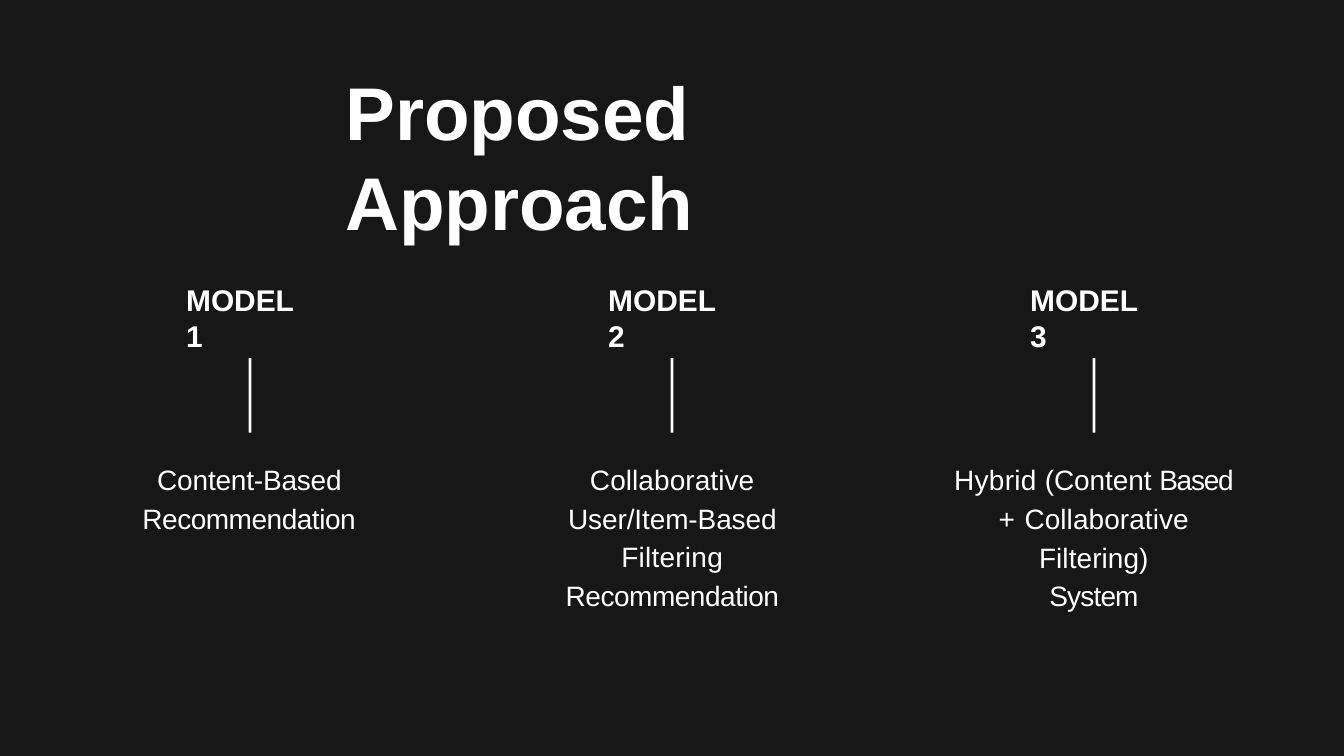
from pptx import Presentation
from pptx.dml.color import RGBColor
from pptx.enum.shapes import MSO_SHAPE as SHAPE
from pptx.enum.text import MSO_ANCHOR as ANCHOR, MSO_AUTO_SIZE as AUTO, PP_ALIGN as ALIGN
from pptx.util import Inches, Pt

BLACK = RGBColor(0x17, 0x17, 0x17)
WHITE = RGBColor(0xFF, 0xFF, 0xFF)
FONT = "Arial"
CENTER_X, PITCH = 10, 6.28


def add_text(p, runs, size, bold=False, align=ALIGN.LEFT, before=1,
             line=1.0, left=0.01, right=0, first=0):
    p.alignment = align
    p.space_before = Pt(before)
    p.line_spacing = line
    pPr = p._p.get_or_add_pPr()
    for name, value in (("marL", left), ("marR", right), ("indent", first)):
        pPr.set(name, str(Inches(value)))
    for text, spacing in runs:
        r = p.add_run()
        r.text = text
        r.font.name, r.font.size, r.font.bold = FONT, Pt(size), bold
        r.font.color.rgb = WHITE
        r._r.get_or_add_rPr().set("spc", str(round(spacing * 100)))


class ModelSlide:
    def __init__(self, prs):
        self.s = prs.slides.add_slide(prs.slide_layouts[5])
        fill = self.s.background.fill
        fill.solid()
        fill.fore_color.rgb = BLACK

    def frame(self, sp, top_inset=0.01):
        tf = sp.text_frame
        tf.word_wrap = True
        tf.auto_size = AUTO.SHAPE_TO_FIT_TEXT
        tf.vertical_anchor = ANCHOR.TOP
        tf.margin_left = tf.margin_right = tf.margin_bottom = 0
        tf.margin_top = Inches(top_inset)
        return tf

    def title(self, text, x, y, w, h):
        sp = self.s.shapes.title
        sp.left, sp.top, sp.width, sp.height = map(Inches, (x, y, w, h))
        add_text(self.frame(sp).paragraphs[0], [(text, 0)], 80, bold=True)

    def box(self, x, y, w, h, paragraphs, top_inset=0.01):
        sp = self.s.shapes.add_textbox(*map(Inches, (x, y, w, h)))
        tf = self.frame(sp, top_inset)
        for i, (runs, style) in enumerate(paragraphs):
            p = tf.add_paragraph() if i else tf.paragraphs[0]
            add_text(p, runs, **style)

    def bar(self, center, y, w, h):
        sp = self.s.shapes.add_shape(
            SHAPE.RECTANGLE, *map(Inches, (center - w / 2, y, w, h)))
        sp.shadow.inherit = False
        sp.fill.solid()
        sp.fill.fore_color.rgb = WHITE
        sp.line.fill.background()

    def model(self, number, width, height, paragraphs, top_inset=0.01):
        center = CENTER_X + (number - 2) * PITCH
        self.box(center - 0.96, 4.18, 1.92, 0.56,
                 [([(f"MODEL {number}", 0)], dict(size=32, bold=True))])
        self.box(center - width / 2, 6.8, width, height, paragraphs, top_inset)
        self.bar(center, 5.33, 0.04, 1.11)


def main():
    prs = Presentation()
    prs.slide_width, prs.slide_height = Inches(20), Inches(11.25)
    slide = ModelSlide(prs)
    slide.title("Proposed Approach", 5.13, 0.97, 9.74, 1.36)

    body = dict(size=30, line=1.15)
    centered = dict(body, align=ALIGN.CENTER)
    slide.model(1, 3.22, 1.18, [
        ([("Content-Based ", -0.2), ("Recommendation", -0.5)],
         dict(body, first=0.22))])
    slide.model(2, 3.22, 2.34, [
        ([("Collaborative ", 0.1), ("User/Item-Based ", -0.1),
          ("Filtering ", 0.3), ("Recommendation", -0.5)], centered)])
    slide.model(3, 4.17, 1.76, [
        ([("Hybrid ", 0.3), ("(Content ", -0.1), ("Based", -1.3)],
         dict(centered, line=1.0, before=6.5, left=0)),
        ([("+ ", 0.9), ("Collaborative Filtering) ", 0.1), ("System", -0.9)],
         dict(centered, before=0, left=0.6, right=0.6))], top_inset=0.09)
    prs.save("out.pptx")


if __name__ == "__main__":
    main()
